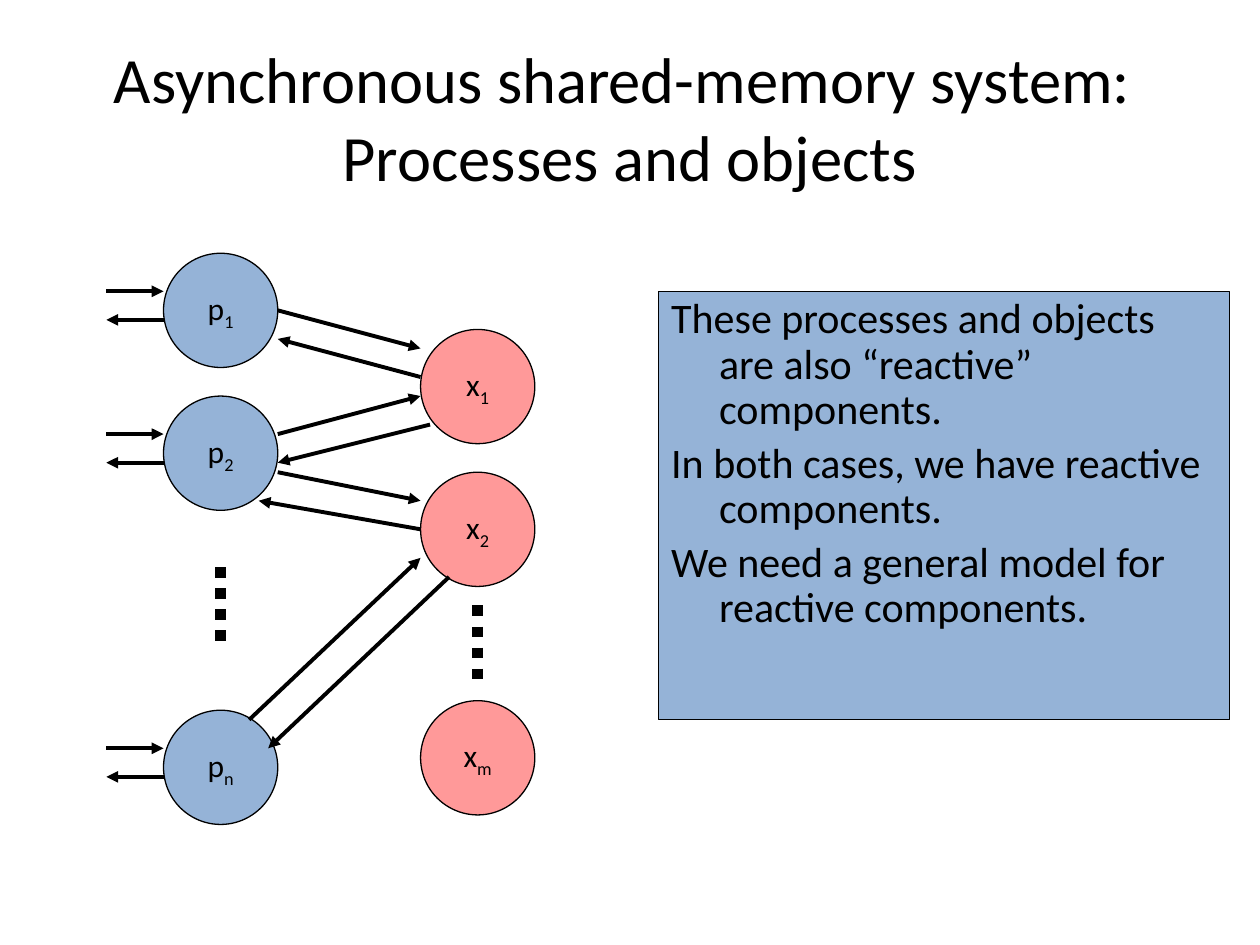
import pptx
import pptx.util
import pptx.dml.color
import pptx.enum.dml
import pptx.enum.shapes
import pptx.enum.text
import pptx.oxml
import pptx.oxml.ns

BLACK, BLUE, PINK = "000000", "95B3D7", "FF9999"


def paint(fill, colour):
    fill.solid()
    fill.fore_color.rgb = pptx.dml.color.RGBColor.from_string(colour)


def write(paragraph, text, size=18, align=None, spacing=None, baseline=None):
    paragraph.alignment = align
    if spacing:
        paragraph.line_spacing = spacing
    paragraph.add_line_break() if text == "\v" else None
    run = paragraph.add_run()
    run.text = text.strip("\v")
    run.font.name = "Calibri"
    run.font.size = pptx.util.Pt(size)
    paint(run.font.fill, BLACK)
    if baseline:
        run._r.get_or_add_rPr().set("baseline", str(baseline * 1000))


deck = pptx.Presentation()
deck.slide_width = pptx.util.Inches(10)
deck.slide_height = pptx.util.Inches(7.5)
slide = deck.slides.add_slide(deck.slide_layouts[1])
center = pptx.enum.text.PP_ALIGN.CENTER
middle = pptx.enum.text.MSO_ANCHOR.MIDDLE
fixed = pptx.enum.text.MSO_AUTO_SIZE.NONE

step = deck.slide_width * 0.952 / 126
columns = [int(deck.slide_width * 0.024 + step * n) for n in range(127)]
rows = [int(deck.slide_height * 0.268 + step * n) for n in range(64)]
diameter = int(step * 12)

heading = slide.shapes.title
heading.left, heading.top = columns[0], int(deck.slide_height * 0.04)
heading.width, heading.height = columns[126] - columns[0], pptx.util.Inches(1.25)
heading.text_frame.auto_size = fixed
heading.text_frame.vertical_anchor = middle
heading_line = heading.text_frame.paragraphs[0]
write(heading_line, "Asynchronous shared-memory system: ", size=36.9, align=center)
heading_line.add_line_break()
write(heading_line, "Processes and objects", size=36.9, align=center)

remarks = slide.placeholders[1]
remarks.left, remarks.top = columns[66], rows[4]
remarks.width, remarks.height = columns[126] - columns[66], rows[49] - rows[4]
paint(remarks.fill, BLUE)
paint(remarks.line.fill, BLACK)
remarks.line.width = pptx.util.Pt(0.75)
remarks.text_frame.auto_size = fixed
for number, remark in enumerate([
    "These processes and objects are also “reactive” components.",
    "In both cases, we have reactive components.",
    "We need a general model for reactive components.",
]):
    frame = remarks.text_frame
    paragraph = frame.add_paragraph() if number else frame.paragraphs[0]
    write(paragraph, remark, size=24, spacing=0.9)
    properties = paragraph._p.get_or_add_pPr()
    properties.set("marL", str(pptx.util.Inches(0.38)))
    properties.set("indent", str(-pptx.util.Inches(0.38)))
    properties.append(pptx.oxml.parse_xml(
        "<a:buNone %s/>" % pptx.oxml.ns.nsdecls("a")))

process_rows = {"1": 0, "2": 15, "n": 48}
object_rows = {"1": 8, "2": 23, "m": 47}
for letter, column, colour, nodes in [
    ("p", 14, BLUE, process_rows),
    ("x", 41, PINK, object_rows),
]:
    for index, row in nodes.items():
        node = slide.shapes.add_shape(
            pptx.enum.shapes.MSO_SHAPE.OVAL,
            columns[column], rows[row], diameter, diameter)
        node.shadow.inherit = False
        paint(node.fill, colour)
        paint(node.line.fill, BLACK)
        node.line.width = pptx.util.Pt(0.75)
        node.text_frame.word_wrap = False
        node.text_frame.vertical_anchor = middle
        label = node.text_frame.paragraphs[0]
        write(label, letter, align=center)
        write(label, index, align=center, baseline=-25)

ellipses = [(20, 33, 20, 41), (47, 37, 47, 45)]
messages = [
    (26, 6, 41, 10), (41, 13, 26, 9),
    (26, 19, 41, 15), (42, 18, 26, 22),
    (26, 23, 41, 26), (41, 29, 24, 26),
    (23, 49, 41, 32), (44, 34, 25, 52),
]
for row in process_rows.values():
    messages += [(8, row + 4, 14, row + 4), (14, row + 7, 8, row + 7)]

for ends in ellipses + messages:
    x1, y1, x2, y2 = ends
    link = slide.shapes.add_connector(
        pptx.enum.shapes.MSO_CONNECTOR.STRAIGHT,
        columns[x1], rows[y1], columns[x2], rows[y2])
    paint(link.line.fill, BLACK)
    if ends in ellipses:
        link.line.width = pptx.util.Pt(6)
        link.line.dash_style = pptx.enum.dml.MSO_LINE.ROUND_DOT
        link.line._ln.find(pptx.oxml.ns.qn("a:prstDash")).set("val", "sysDot")
    else:
        link.line.width = pptx.util.Pt(2.25)
        link.line._ln.append(pptx.oxml.parse_xml(
            '<a:tailEnd type="triangle" %s/>' % pptx.oxml.ns.nsdecls("a")))
    link._element.spPr.append(pptx.oxml.parse_xml(
        "<a:effectLst %s/>" % pptx.oxml.ns.nsdecls("a")))

deck.save("out.pptx")
